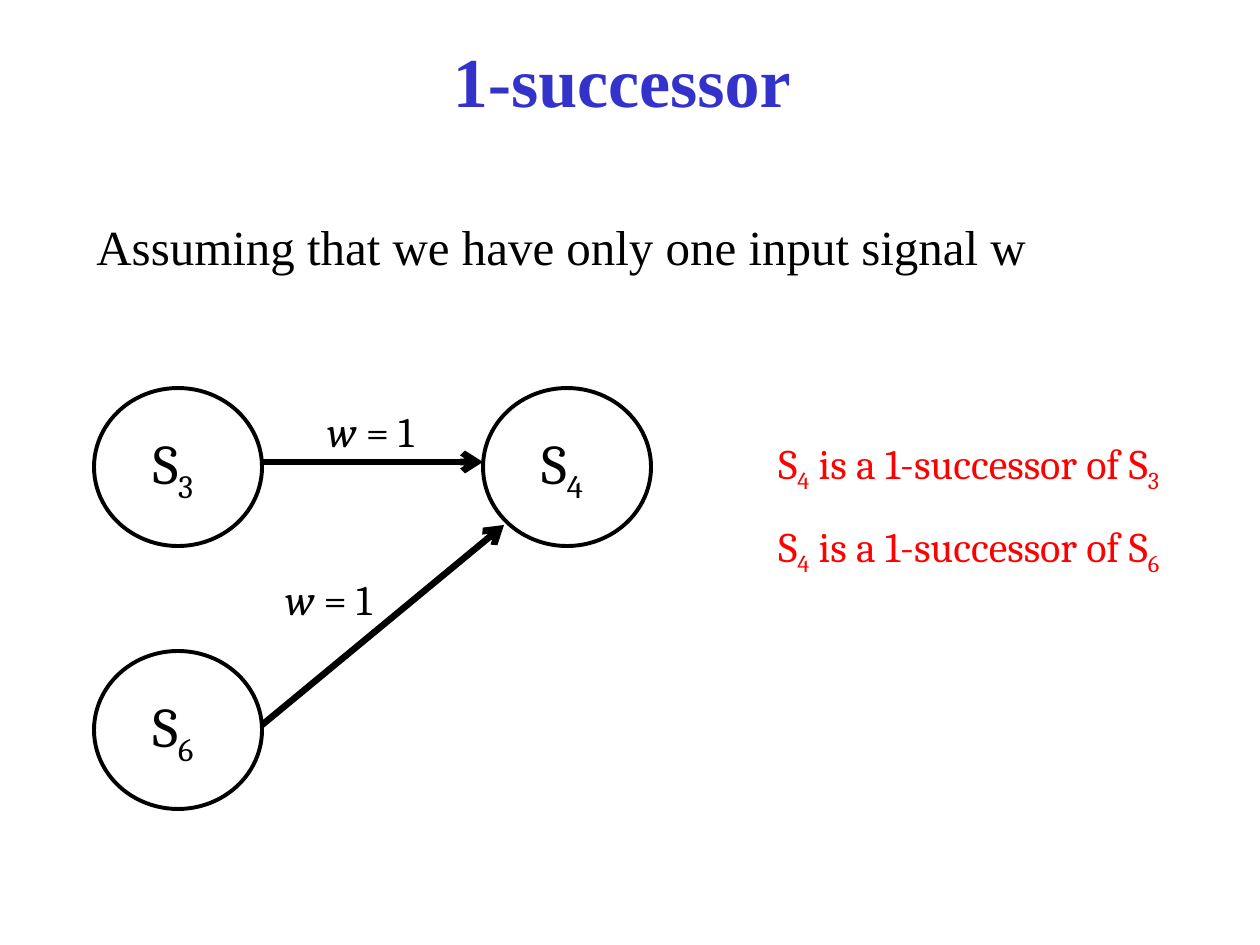
from lxml import etree
from pptx import Presentation
from pptx.dml.color import RGBColor
from pptx.enum.shapes import MSO_CONNECTOR, MSO_SHAPE
from pptx.enum.text import MSO_ANCHOR, PP_ALIGN
from pptx.oxml.ns import qn
from pptx.util import Pt

OVAL = MSO_SHAPE.OVAL
LINE = MSO_CONNECTOR.STRAIGHT
MIDDLE = MSO_ANCHOR.MIDDLE
LEFT, CENTER = PP_ALIGN.LEFT, PP_ALIGN.CENTER
SCALE = 914400 / 126
COLORS = {"ink": "000000", "paper": "FFFFFF", "title": "3333CC", "note": "FF0000"}
SERIF, MATH = "Times New Roman", "Cambria"


def px(n):
    return round(n * SCALE)


def rgb(name):
    return RGBColor.from_string(COLORS[name])


class Board:
    def __init__(self, slide):
        self.slide = slide

    def fill(self, frame, runs, size, face, color="ink", align=LEFT):
        para = frame.paragraphs[0]
        para.alignment = align
        font = para.font
        font.size, font.name = Pt(size), face
        font.color.rgb = rgb(color)
        for words, kind in runs:
            run = para.add_run()
            run.text = words
            if kind == "sub":
                run.font._element.set("baseline", "-25000")
            elif kind == "italic":
                run.font.italic = True
        return para

    def text(self, box, runs, size, face=MATH, color="ink", align=LEFT, wrap=False):
        frame = self.slide.shapes.add_textbox(*map(px, box)).text_frame
        frame.word_wrap = wrap
        return self.fill(frame, runs, size, face, color, align)

    def state(self, x, y, digit):
        oval = self.slide.shapes.add_shape(OVAL, px(x), px(y), px(168), px(158))
        oval.shadow.inherit = False
        oval.fill.solid()
        oval.fill.fore_color.rgb = rgb("paper")
        oval.line.color.rgb = rgb("ink")
        oval.line.width = Pt(2.25)
        frame = oval.text_frame
        frame.vertical_anchor = MIDDLE
        frame.margin_left = frame.margin_top = frame.margin_bottom = 0
        frame.margin_right = px(10)
        self.fill(frame, [("S", ""), (digit, "sub")], 32, MATH, align=CENTER)

    def arrow(self, *ends):
        line = self.slide.shapes.add_connector(LINE, *map(px, ends))
        line.line.color.rgb = rgb("ink")
        line.line.width = Pt(3.75)
        props = line._element.spPr
        etree.SubElement(props.find(qn("a:ln")), qn("a:tailEnd"), type="arrow")
        etree.SubElement(props, qn("a:effectLst"))

    def label(self, x, y):
        self.text((x, y, 123, 64), [("w", "italic"), (" = 1", "")], 24)

    def note(self, y, digit):
        runs = [("S", ""), ("4", "sub"), (" is a 1-successor of S", ""), (digit, "sub")]
        self.text((766, y, 435, 64), runs, 24, color="note")


def main():
    deck = Presentation()
    deck.slide_width, deck.slide_height = px(1260), px(945)
    board = Board(deck.slides.add_slide(deck.slide_layouts[6]))

    title = board.text((32, 31, 1196, 84), [("1-successor ", "")], 40,
                       SERIF, "title", CENTER, True)
    title.font.bold = True
    body = board.text((84, 210, 1092, 84),
                      [("Assuming that we have only one input signal w", "")],
                      28, SERIF, wrap=True)
    body.space_before = Pt(3)

    for x, y, digit in ((94, 388, "3"), (483, 388, "4"), (94, 651, "6")):
        board.state(x, y, digit)
    board.arrow(262, 462, 483, 462)
    board.arrow(262, 725, 504, 525)
    board.label(315, 399)
    board.label(273, 567)
    board.note(431, "3")
    board.note(514, "6")

    deck.save("out.pptx")


if __name__ == "__main__":
    main()
